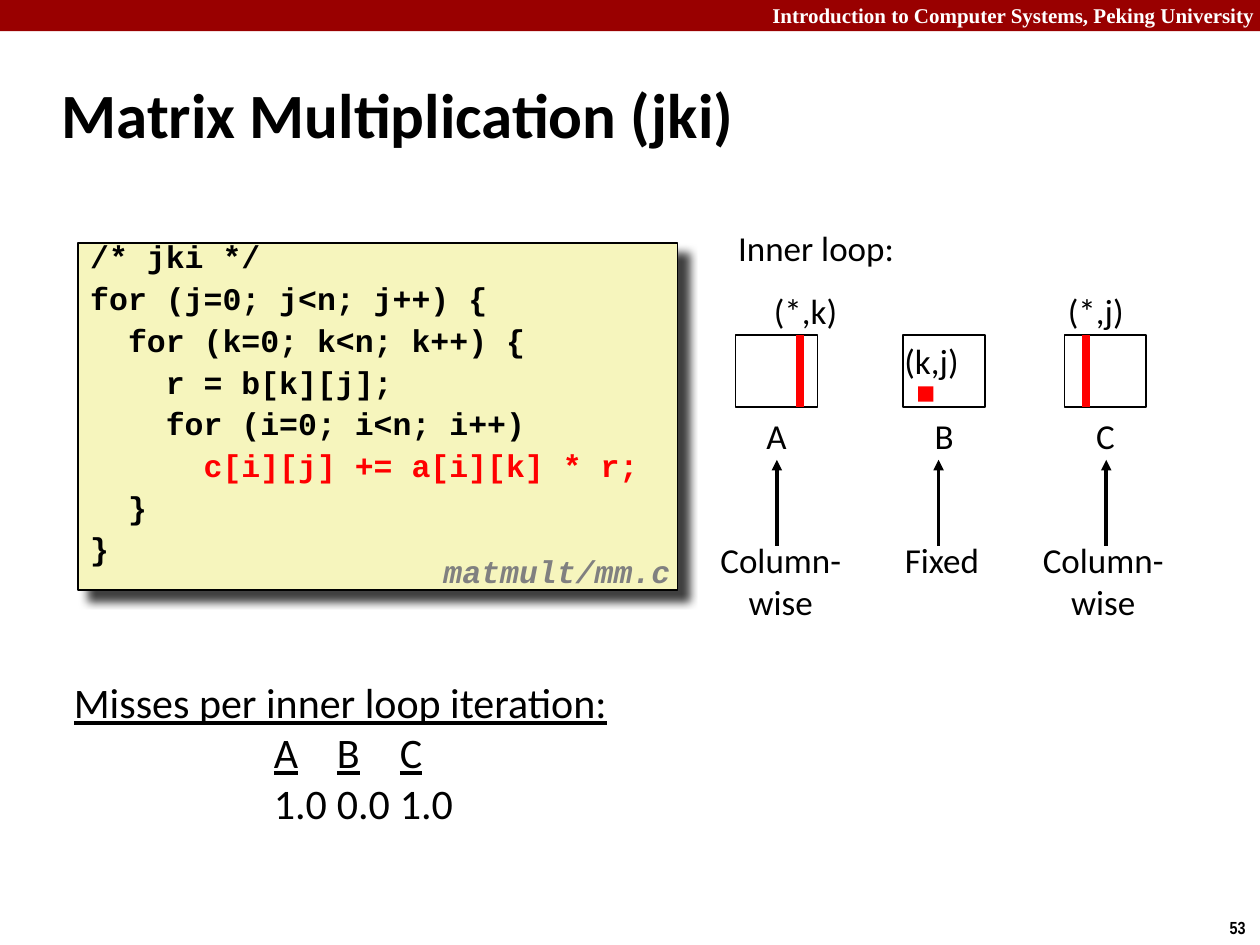
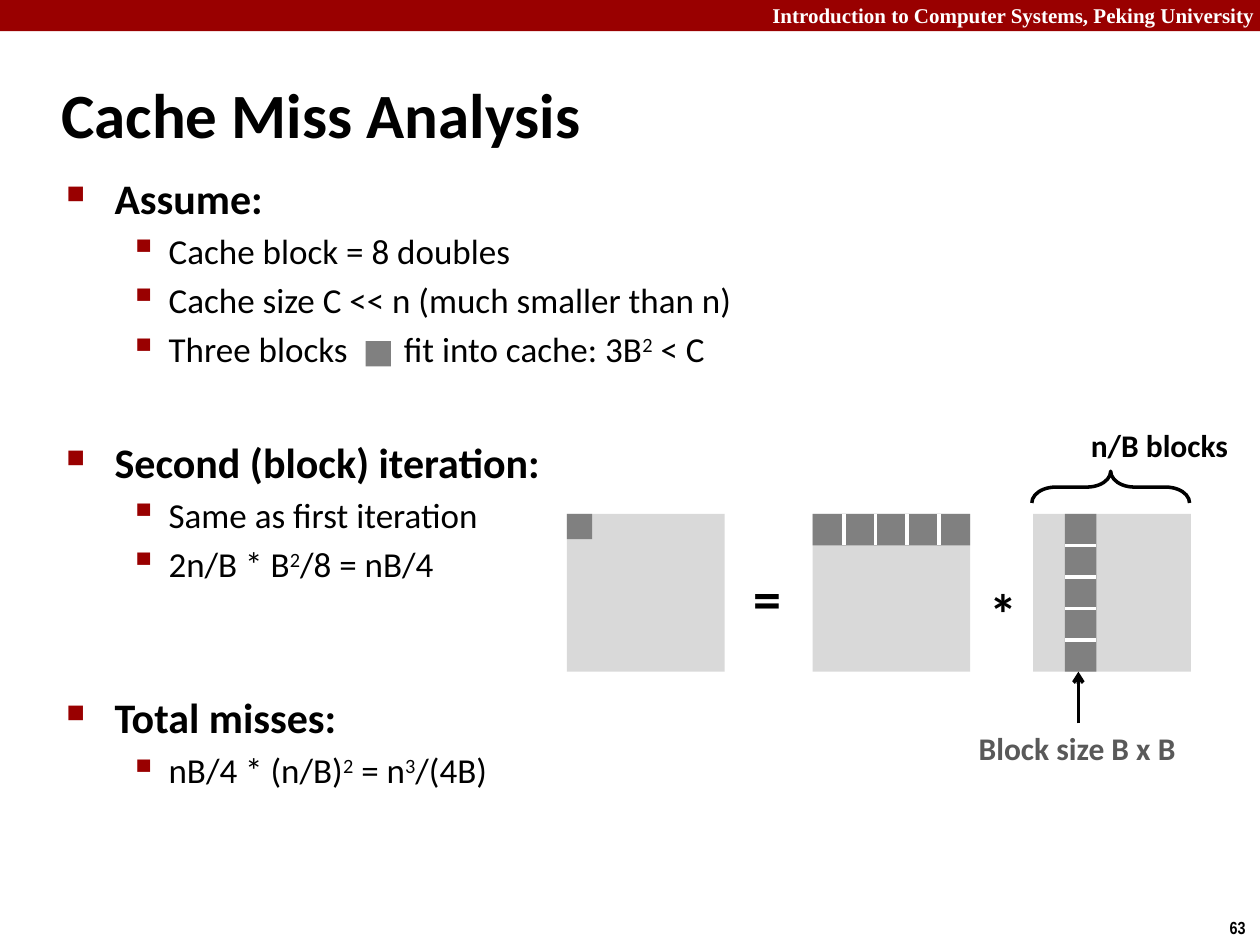
from lxml import etree
from pptx import Presentation
from pptx.dml.color import RGBColor
from pptx.enum.shapes import MSO_CONNECTOR, MSO_SHAPE
from pptx.enum.text import MSO_ANCHOR, PP_ALIGN
from pptx.oxml.ns import qn
from pptx.util import Cm, Pt

RECT, BRACE = MSO_SHAPE.RECTANGLE, MSO_SHAPE.LEFT_BRACE
STRAIGHT = MSO_CONNECTOR.STRAIGHT
LEFT, CENTER, RIGHT = PP_ALIGN.LEFT, PP_ALIGN.CENTER, PP_ALIGN.RIGHT
TOP, MIDDLE = MSO_ANCHOR.TOP, MSO_ANCHOR.MIDDLE

COLORS = {
    "band": "990000", "white": "FFFFFF", "black": "000000", "red": "FF0000",
    "code": "F6F5BD", "matrix": "D9D9D9", "block": "808080", "caption": "595959",
}
BODY_FONT, CODE_FONT = "Calibri", "Courier New"
HEADER = "Introduction to Computer Systems, Peking University"

# Slide content. A paragraph is a string or a list of runs;
# a run is a string or a pair of text and run format.
CODE = [
    "/* jki */",
    "for (j=0; j<n; j++) {",
    "  for (k=0; k<n; k++) {",
    "    r = b[k][j];",
    "    for (i=0; i<n; i++)",
    ["      ", ("c[i][j] += a[i][k] * r;", {"color": "red"})],
    "  }",
    "}",
]
CODE_FILE = "matmult/mm.c"

# Centres and tops are in centimetres.
LOOP_MATRICES = [
    {"name": "A", "left": 14.83, "index": "(*,k)", "index_at": (16.24, 5.72),
     "access": ["Column-", "wise"], "access_x": 15.74, "arrow_x": 15.66, "column_x": 16.13},
    {"name": "B", "left": 18.21, "index": "(k,j)", "index_at": (18.78, 6.71),
     "access": ["Fixed"], "access_x": 18.99, "arrow_x": 18.92, "column_x": None},
    {"name": "C", "left": 21.46, "index": "(*,j)", "index_at": (22.09, 5.72),
     "access": ["Column-", "wise"], "access_x": 22.24, "arrow_x": 22.3, "column_x": 21.89},
]
MISSES_TITLE = "Misses per inner loop iteration:"
MISSES = {"A": "1.0", "B": "0.0", "C": "1.0"}

SQUARED, CUBED = ("2", {"baseline": 30000}), ("3", {"baseline": 30000})
BLOCK_GAP = (" ", {"spc": 2750})  # room for the block drawn inside the line
# Heading, space before it in points, points below it
ANALYSIS = [
    ("Assume:", 0, [
        "Cache block = 8 doubles",
        "Cache size C << n (much smaller than n)",
        ["Three blocks", BLOCK_GAP, "fit into cache: 3B", SQUARED, " < C"],
    ]),
    ("Second (block) iteration:", 38, [
        "Same as first iteration",
        ["2n/B * B", SQUARED, "/8 = nB/4"],
    ]),
    ("Total misses:", 61, [
        ["nB/4 * (n/B)", SQUARED, " = n", CUBED, "/(4B)"],
    ]),
]
HEADING = {"size": 24, "bold": True, "margin": 0.97, "hanging": 0.97, "bullet": ("■", 60)}
POINT = {"size": 20, "margin": 2.06, "hanging": 0.79, "bullet": ("▪", 110), "before": 4}


def rgb(name):
    return RGBColor.from_string(COLORS[name])


def add_bullet(properties, char, percent):
    color = etree.SubElement(properties, qn("a:buClr"))
    etree.SubElement(color, qn("a:srgbClr"), val=COLORS["band"])
    etree.SubElement(properties, qn("a:buSzPct"), val=str(percent * 1000))
    etree.SubElement(properties, qn("a:buChar"), char=char)


def add_paragraph(paragraph, runs, size=20, font=BODY_FONT, color="black", bold=False,
                  italic=False, underline=False, align=LEFT, spacing=None, before=0,
                  margin=0, hanging=0, bullet=None):
    properties = paragraph._p.get_or_add_pPr()
    if margin:
        properties.set("marL", str(Cm(margin)))
        properties.set("indent", str(-Cm(hanging)))
    if bullet:
        add_bullet(properties, *bullet)
    paragraph.alignment = align
    if spacing:
        paragraph.line_spacing = spacing
    if before:
        paragraph.space_before = Pt(before)
    for item in [runs] if isinstance(runs, str) else runs:
        words, special = (item, {}) if isinstance(item, str) else item
        run = paragraph.add_run()
        run.text = words
        run.font.name, run.font.size = font, Pt(size)
        run.font.bold, run.font.italic = bold, italic
        run.font.underline = special.get("underline", underline)
        run.font.color.rgb = rgb(special.get("color", color))
        for key in ("baseline", "spc"):
            if key in special:
                run._r.get_or_add_rPr().set(key, str(special[key]))


def write(shape, paragraphs, wrap=True, anchor=TOP, before=0, **style):
    """Fill a shape with paragraphs; a (runs, format) tuple overrides the shared style."""
    frame = shape.text_frame
    frame.word_wrap, frame.vertical_anchor = wrap, anchor
    for number, entry in enumerate(paragraphs):
        runs, own = entry if isinstance(entry, tuple) else (entry, {})
        paragraph = frame.add_paragraph() if number else frame.paragraphs[0]
        spaced = {"before": before if number else 0}
        add_paragraph(paragraph, runs, **{**style, **spaced, **own})


def add_text(slide, box, *paragraphs, **style):
    write(slide.shapes.add_textbox(*map(Cm, box)), paragraphs, **style)


def add_label(slide, center, top, *paragraphs, **style):
    width = 3.2
    add_text(slide, (center - width / 2, top, width, 1.09), *paragraphs, align=CENTER, **style)


def add_form(slide, box, fill=None, line=None, weight=1, kind=RECT):
    shape = slide.shapes.add_shape(kind, *map(Cm, box))
    shape.shadow.inherit = False
    if fill:
        shape.fill.solid()
        shape.fill.fore_color.rgb = rgb(fill)
    else:
        shape.fill.background()
    if line:
        shape.line.color.rgb, shape.line.width = rgb(line), Pt(weight)
    else:
        shape.line.fill.background()
    return shape


def add_line(slide, start, end, color="black", weight=2, head=None):
    connector = slide.shapes.add_connector(STRAIGHT, *map(Cm, start + end))
    connector.line.color.rgb, connector.line.width = rgb(color), Pt(weight)
    if head:
        etree.SubElement(connector.line._get_or_add_ln(), qn("a:tailEnd"), type=head)
    etree.SubElement(connector._element.spPr, qn("a:effectLst"))


def cast_shadow(shape):
    effects = shape._element.spPr.find(qn("a:effectLst"))
    shadow = etree.SubElement(effects, qn("a:outerShdw"), blurRad=str(Pt(5)), dist=str(Pt(8.5)),
                              dir="2700000", algn="tl", rotWithShape="0")
    color = etree.SubElement(shadow, qn("a:srgbClr"), val=COLORS["black"])
    etree.SubElement(color, qn("a:alpha"), val="75000")


def add_base_slide(deck, title, page):
    slide = deck.slides.add_slide(deck.slide_layouts[6])
    add_form(slide, (0, 0, 25.4, 0.63), "band")
    add_text(slide, (13.24, -0.08, 12.3, 0.76), HEADER, size=12, font="Times New Roman",
             color="white", bold=True, align=RIGHT)
    add_text(slide, (24.54, 18.36, 0.86, 0.69), page, size=10, font="Arial Narrow",
             bold=True, wrap=False)
    add_text(slide, (0.99, 1.22, 21.08, 2.11), title, size=36, bold=True, anchor=MIDDLE)
    return slide


def draw_loop_matrix(slide, matrix):
    width, height, top = 1.65, 1.45, 6.76
    center, bottom = matrix["left"] + width / 2, top + height
    add_form(slide, (matrix["left"], top, width, height), "white", "black")
    if matrix["column_x"]:
        x = matrix["column_x"]
        add_line(slide, (x, top), (x, bottom), "red", 4.5)
    else:
        add_form(slide, (18.51, 7.79, 0.31, 0.31), "red")
    add_label(slide, *matrix["index_at"], matrix["index"])
    add_label(slide, center, bottom + 0.02, matrix["name"])
    add_line(slide, (matrix["arrow_x"], 11), (matrix["arrow_x"], 9.27), head="triangle")
    add_label(slide, matrix["access_x"], 10.74, *matrix["access"])


def build_multiplication(deck):
    slide = add_base_slide(deck, "Matrix Multiplication (jki)", "53")
    listing = add_form(slide, (1.57, 4.9, 12.09, 6.99), "code", "black")
    cast_shadow(listing)
    write(listing, CODE, size=18, font=CODE_FONT, bold=True, spacing=0.65, before=9.8)
    add_text(slide, (8.69, 11.07, 5.28, 0.99), CODE_FILE, size=18, font=CODE_FONT,
             color="block", bold=True, italic=True, spacing=0.94, wrap=False)

    add_text(slide, (14.63, 4.45, 3.68, 1.09), "Inner loop:", wrap=False)
    for matrix in LOOP_MATRICES:
        draw_loop_matrix(slide, matrix)

    names = []
    for name in MISSES:
        names += ["\t"] if names else []
        names.append((name, {"underline": True}))
    column = {"margin": 4.03}
    add_text(slide, (1.24, 13.51, 15.27, 3.4), (MISSES_TITLE, {"underline": True}),
             (names, column), ("\t".join(MISSES.values()), column), size=24)


def build_analysis(deck):
    slide = add_base_slide(deck, "Cache Miss Analysis", "63")
    outline = []
    for heading, before, points in ANALYSIS:
        outline.append((heading, {**HEADING, "before": before}))
        outline += [(point, POINT) for point in points]
    add_text(slide, (1.09, 3.35, 21.95, 14.83), *outline)

    small = 0.51
    add_form(slide, (7.37, 6.88, small, small), "block")

    side, top, blocks = 3.18, 10.36, 5
    step = side / blocks
    result, row_matrix, column_matrix = 11.43, 16.38, 20.83
    for left in (result, row_matrix, column_matrix):
        add_form(slide, (left, top, side, side), "matrix")
    add_form(slide, (result, top, small, small), "block")
    add_form(slide, (row_matrix, top, side, step), "block")
    column = column_matrix + step
    add_form(slide, (column, top, step, side), "block")
    for number in range(1, blocks):
        x, y = row_matrix + number * step, top + number * step
        add_line(slide, (x, top), (x, top + step), "white")
        add_line(slide, (column, y), (column + step, y), "white")

    for sign, left, sign_top in (("=", 14.94, 11.23), ("*", 19.69, 11.53)):
        add_text(slide, (left, sign_top, 1.09, 1.63), sign, size=32, bold=True, wrap=False)

    brace = add_form(slide, (22.07, 8.23, 0.64, side), line="black", weight=2, kind=BRACE)
    brace.rotation = 90
    brace.adjustments[0] = 0.75
    add_text(slide, (21.74, 8.46, 3.3, 1.02), "n/B blocks", size=18, bold=True, wrap=False)
    add_line(slide, (21.74, 14.58), (21.74, top + side), head="arrow")
    add_text(slide, (19.48, 14.58, 4.52, 1.02), "Block size B x B", size=18,
             color="caption", bold=True, wrap=False)


def main():
    deck = Presentation()
    deck.slide_width, deck.slide_height = Cm(25.4), Cm(19.05)
    build_multiplication(deck)
    build_analysis(deck)
    deck.save("out.pptx")


if __name__ == "__main__":
    main()
